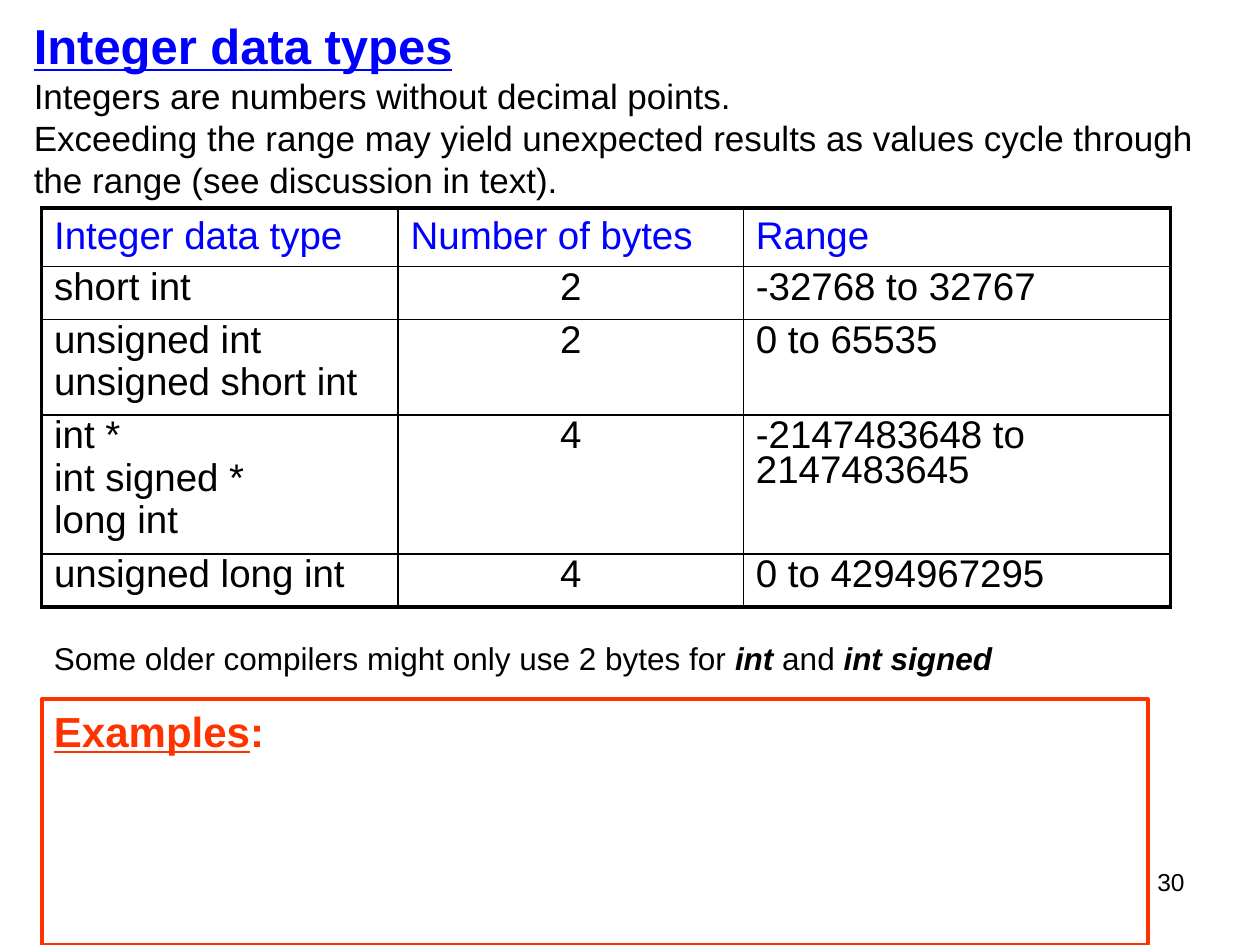
from lxml import etree
from pptx import Presentation, util as u
from pptx.dml.color import RGBColor
from pptx.enum import shapes, text
from pptx.oxml import ns

BLACK = RGBColor(0, 0, 0)
BLUE = RGBColor(0, 0, 255)
ORANGE = RGBColor(255, 51, 0)

deck = Presentation()
deck.slide_width, deck.slide_height = u.Inches(10), u.Inches(7.5)
COL, ROW = deck.slide_width / 100, deck.slide_height / 100
slide = deck.slides.add_slide(deck.slide_layouts[6])


def area(left, top, width, height):
    return [round(n * step) for n, step in zip((left, top, width, height), (COL, ROW, COL, ROW))]


def style(font, size, color):
    font.name, font.size = "Arial", u.Pt(size)
    font.color.rgb = color


number = slide.shapes.add_textbox(*area(71.7, 91.07, 23.3, 6.93)).text_frame
number.word_wrap = True
number.text = "30"
number.paragraphs[0].alignment = text.PP_ALIGN.RIGHT
style(number.paragraphs[0].font, 14, BLACK)

intro = slide.shapes.add_textbox(*area(1.7, 0, 98.3, 22.93)).text_frame
intro.word_wrap = True
intro.vertical_anchor = text.MSO_ANCHOR.MIDDLE
heading = intro.paragraphs[0]
heading.text = "Integer data types"
style(heading.font, 28, BLUE)
heading.font.bold = heading.font.underline = True
for sentence in (
    "Integers are numbers without decimal points.",
    "Exceeding the range may yield unexpected results as values cycle through the range (see discussion in text).",
):
    line = intro.add_paragraph()
    line.text = sentence
    style(line.font, 20, BLACK)

examples = slide.shapes.add_shape(shapes.MSO_SHAPE.RECTANGLE, *area(3.3, 74, 87.8, 26))
examples.shadow.inherit = False
examples.fill.background()
examples.line.color.rgb = ORANGE
examples.line.width = u.Pt(2.25)
examples.text_frame.vertical_anchor = text.MSO_ANCHOR.TOP
label = examples.text_frame.paragraphs[0]
label.alignment = text.PP_ALIGN.LEFT
style(label.font, 24, ORANGE)
label.font.bold = True
for words, underlined in (("Examples", True), (":", False)):
    run = label.add_run()
    run.text = words
    run.font.underline = underlined

TYPES = [
    ("Integer data type", "Number of bytes", "Range"),
    ("short int", "2", "-32768 to 32767"),
    ("unsigned int\nunsigned short int", "2", "0 to 65535"),
    ("int *\nint signed *\nlong int", "4", "-2147483648 to 2147483645"),
    ("unsigned long int", "4", "0 to 4294967295"),
]
WIDTHS = (28.3, 27.4, 33.9)
HEIGHTS = (6.2, 5.6, 10.1, 13.9, 5.6)
types = slide.shapes.add_table(
    len(HEIGHTS), len(WIDTHS), *area(3.3, 22, sum(WIDTHS), sum(HEIGHTS))
).table
types.first_row = types.horz_banding = False
for column, width in zip(types.columns, WIDTHS):
    column.width = round(width * COL)
for row, height in zip(types.rows, HEIGHTS):
    row.height = round(height * ROW)

for r, entries in enumerate(TYPES):
    for c, entry in enumerate(entries):
        cell = types.cell(r, c)
        cell.text = entry
        for i, line in enumerate(cell.text_frame.paragraphs):
            if i:
                line.space_before = u.Pt(4.4)
            if r:
                line.line_spacing = 0.8
                if c == 1:
                    line.alignment = text.PP_ALIGN.CENTER
            style(line.font, 22, BLACK if r else BLUE)
        outer = {"L": c == 0, "R": c == len(WIDTHS) - 1, "T": r == 0, "B": r == len(HEIGHTS) - 1}
        for side, heavy in outer.items():
            border = etree.SubElement(
                cell._tc.get_or_add_tcPr(), ns.qn("a:ln" + side), w=str(u.Pt(2.25 if heavy else 1))
            )
            paint = etree.SubElement(border, ns.qn("a:solidFill"))
            etree.SubElement(paint, ns.qn("a:srgbClr"), val=str(BLACK))
        cell.fill.background()

note = slide.shapes.add_textbox(*area(3.3, 66.93, 77.9, 5.33)).text_frame
note.word_wrap = False
remark = note.paragraphs[0]
style(remark.font, 18, BLACK)
for words, keyword in (
    ("Some older compilers might only use 2 bytes for ", False),
    ("int", True),
    (" and ", False),
    ("int signed", True),
):
    run = remark.add_run()
    run.text = words
    run.font.bold = run.font.italic = keyword

deck.save("out.pptx")
